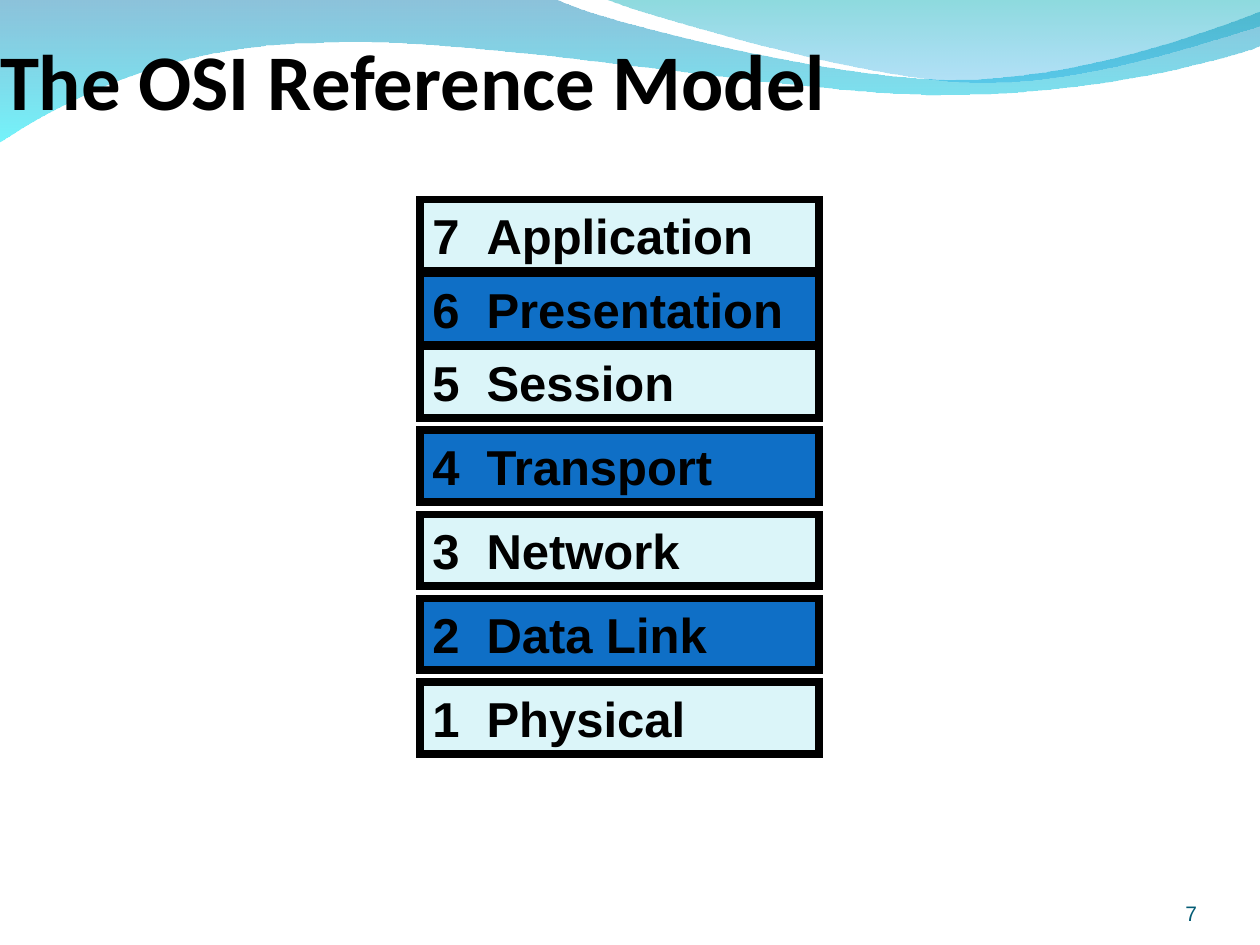
from dataclasses import dataclass

import pptx
import pptx.dml.color
import pptx.enum.shapes
import pptx.enum.text
import pptx.oxml
import pptx.oxml.ns
import pptx.util

ALIGN = pptx.enum.text.PP_ALIGN
ANCHOR = pptx.enum.text.MSO_ANCHOR
AUTO_SIZE = pptx.enum.text.MSO_AUTO_SIZE
WIDTH, HEIGHT = 10, 7.5
CELL = HEIGHT / 90  # grid step in inches
WAVE_UNITS = 100  # outline units to the inch


@dataclass(frozen=True)
class Theme:
    ink: str = "000000"
    page_ink: str = "045C75"
    pale: str = "DBF5F9"
    blue: str = "0F6FC6"
    # Waves: colour and opacity percent, from top to bottom
    broad_wave: tuple = (("0079AF", 45), ("00EBF8", 55))
    right_wave: tuple = (("00ADB6", 45), ("009BE5", 30))
    heading_font: str = "Calibri"
    body_font: str = "Arial"
    title_size: float = 45
    layer_size: float = 28
    page_size: float = 12
    border: float = 4.5


THEME = Theme()

# Layer label and its top edge in grid rows
LAYERS = [
    ("7\tApplication", 19),
    ("6\tPresentation", 26),
    ("5\tSession", 33),
    ("4\tTransport", 41),
    ("3\tNetwork", 49),
    ("2\tData Link", 57),
    ("1\tPhysical", 65),
]

# Outlines in wave units: one point is a line end, three points are a curve
BROAD_WAVE = [
    [(0, -1)],
    [(440, -1)],
    [(476, 17), (664, 63), (758, 63)],
    [(853, 63), (958, 26), (1000, 9)],
    [(1001, 36)],
    [(983, 44), (870, 76), (746, 75)],
    [(622, 75), (382, 28), (257, 34)],
    [(129, 35), (46, 83), (-1, 113)],
]
RIGHT_WAVE = [
    [(479, -1)],
    [(509, 11), (682, 62), (769, 65)],
    [(856, 69), (961, 32), (1000, 21)],
    [(1000, 0)],
]


def rgb(code):
    return pptx.dml.color.RGBColor.from_string(code)


def inches(*lengths):
    return [pptx.util.Inches(length) for length in lengths]


def drawing_element(tag, attributes="", content=""):
    namespace = pptx.oxml.ns.nsdecls("a")
    return pptx.oxml.parse_xml(
        f"<a:{tag} {namespace} {attributes}>{content}</a:{tag}>")


def bend_curves(wave, outline):
    """Turn the line segments of each three-point part into one Bezier curve."""
    properties = wave._element.spPr
    segments = iter(list(properties.iter(pptx.oxml.ns.qn("a:lnTo"))))
    for part in outline[1:]:
        lines = [next(segments) for _ in part]
        if len(lines) == 1:
            continue
        curve = drawing_element("cubicBezTo")
        lines[0].addprevious(curve)
        for line in lines:
            curve.append(line[0])
            line.getparent().remove(line)


def add_wave(slide, outline, stops):
    points = [point for part in outline for point in part]
    builder = slide.shapes.build_freeform(
        *points[0], scale=pptx.util.Inches(1) / WAVE_UNITS)
    builder.add_line_segments(points[1:], close=True)
    wave = builder.convert_to_shape()
    bend_curves(wave, outline)
    wave.shadow.inherit = False
    wave.line.fill.background()
    wave.fill.gradient()
    wave.fill.gradient_angle = 270
    for stop, (colour, _) in zip(wave.fill.gradient_stops, stops):
        stop.color.rgb = rgb(colour)
    colour_tags = wave._element.spPr.iter(pptx.oxml.ns.qn("a:srgbClr"))
    for tag, (_, opacity) in zip(list(colour_tags), stops):
        tag.append(drawing_element("alpha", f'val="{opacity * 1000}"'))


def write(holder, text, *, size, colour=THEME.ink, font=THEME.body_font, bold=False,
          align=ALIGN.LEFT, anchor=ANCHOR.TOP, insets=(0, 0, 0, 0),
          auto_size=AUTO_SIZE.NONE, tab=None):
    """Fill a shape with one line of text; tab is a tab stop in inches."""
    frame = holder.text_frame
    frame.word_wrap = True
    frame.auto_size = auto_size
    frame.vertical_anchor = anchor
    (frame.margin_left, frame.margin_top,
     frame.margin_right, frame.margin_bottom) = inches(*insets)
    paragraph = frame.paragraphs[0]
    paragraph.alignment = align
    if tab:
        stop = f'<a:tab pos="{pptx.util.Inches(tab)}" algn="l"/>'
        paragraph._p.get_or_add_pPr().append(drawing_element("tabLst", content=stop))
    run = paragraph.add_run()
    run.text = text
    run.font.size = pptx.util.Pt(size)
    run.font.name = font
    run.font.bold = bold
    run.font.color.rgb = rgb(colour)


def add_title(slide, text):
    title = slide.shapes.title
    title.left, title.top, title.width, title.height = inches(
        0, 2 * CELL, WIDTH, 10 * CELL)
    write(title, text, size=THEME.title_size, font=THEME.heading_font, bold=True,
          anchor=ANCHOR.BOTTOM, insets=(0, 0.05, 0, 0))
    slide.shapes._spTree.append(title._element)  # in front of the waves


def add_page_number(slide, number):
    box = slide.shapes.add_textbox(*inches(
        104 * CELL, 83.4 * CELL, 10 * CELL, 4.8 * CELL))
    write(box, number, size=THEME.page_size, colour=THEME.page_ink,
          align=ALIGN.RIGHT, anchor=ANCHOR.BOTTOM)


def add_layer(slide, label, row, fill):
    layer = slide.shapes.add_shape(
        pptx.enum.shapes.MSO_SHAPE.RECTANGLE,
        *inches(40 * CELL, row * CELL, 38 * CELL, 0.57))
    layer.shadow.inherit = False
    layer.fill.solid()
    layer.fill.fore_color.rgb = rgb(fill)
    layer.line.color.rgb = rgb(THEME.ink)
    layer.line.width = pptx.util.Pt(THEME.border)
    border = layer._element.spPr.find(pptx.oxml.ns.qn("a:ln"))
    border.append(drawing_element("miter", 'lim="800000"'))
    write(layer, label, size=THEME.layer_size, bold=True, tab=0.43,
          insets=(0.1, 0.05, 0.1, 0.05), auto_size=AUTO_SIZE.SHAPE_TO_FIT_TEXT)


def main():
    deck = pptx.Presentation()
    deck.slide_width, deck.slide_height = inches(WIDTH, HEIGHT)
    slide = deck.slides.add_slide(deck.slide_layouts.get_by_name("Title Only"))
    add_wave(slide, BROAD_WAVE, THEME.broad_wave)
    add_wave(slide, RIGHT_WAVE, THEME.right_wave)
    add_title(slide, "The OSI Reference Model")
    add_page_number(slide, "7")
    for index, (label, row) in enumerate(LAYERS):
        add_layer(slide, label, row, THEME.blue if index % 2 else THEME.pale)
    deck.save("out.pptx")


if __name__ == "__main__":
    main()
